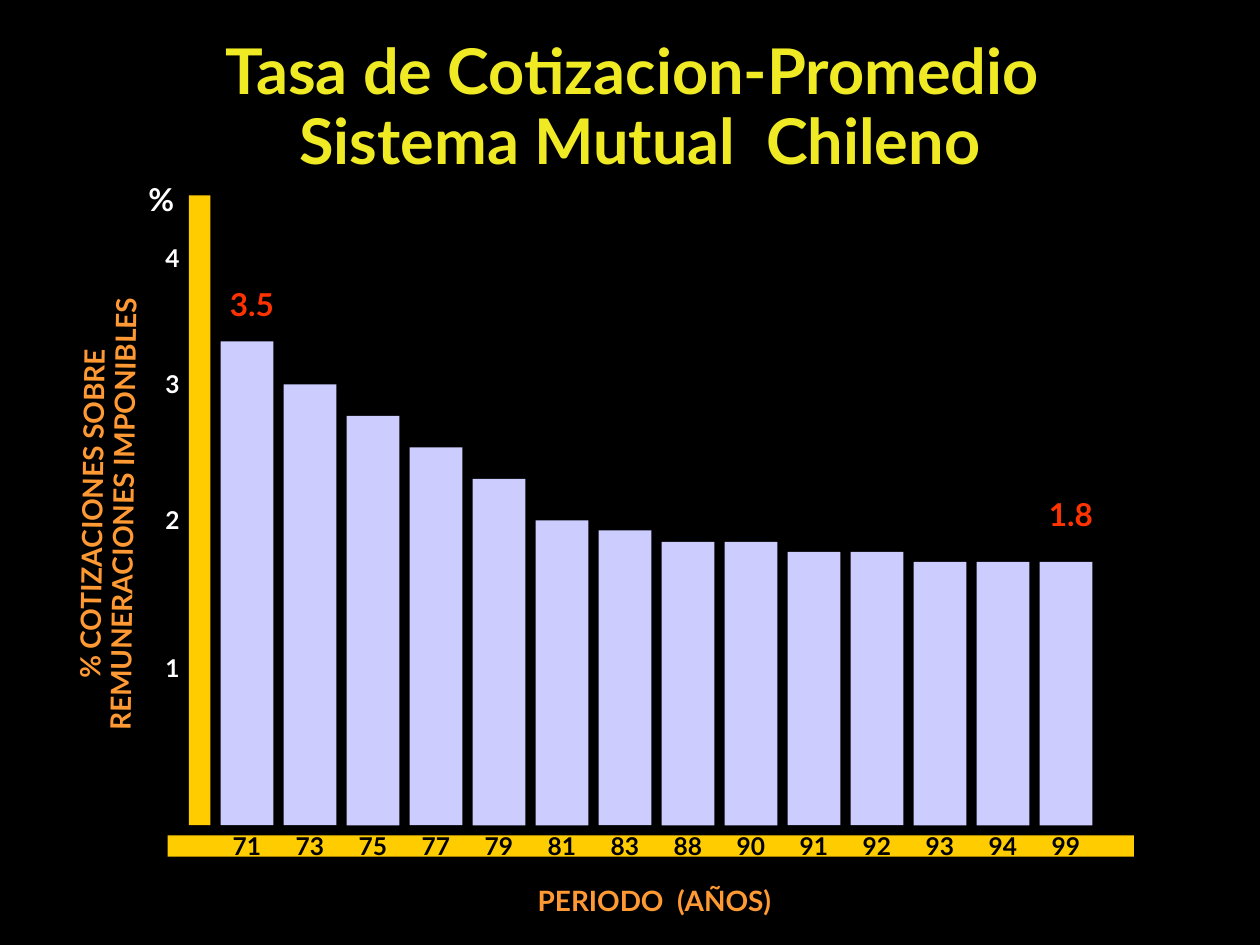
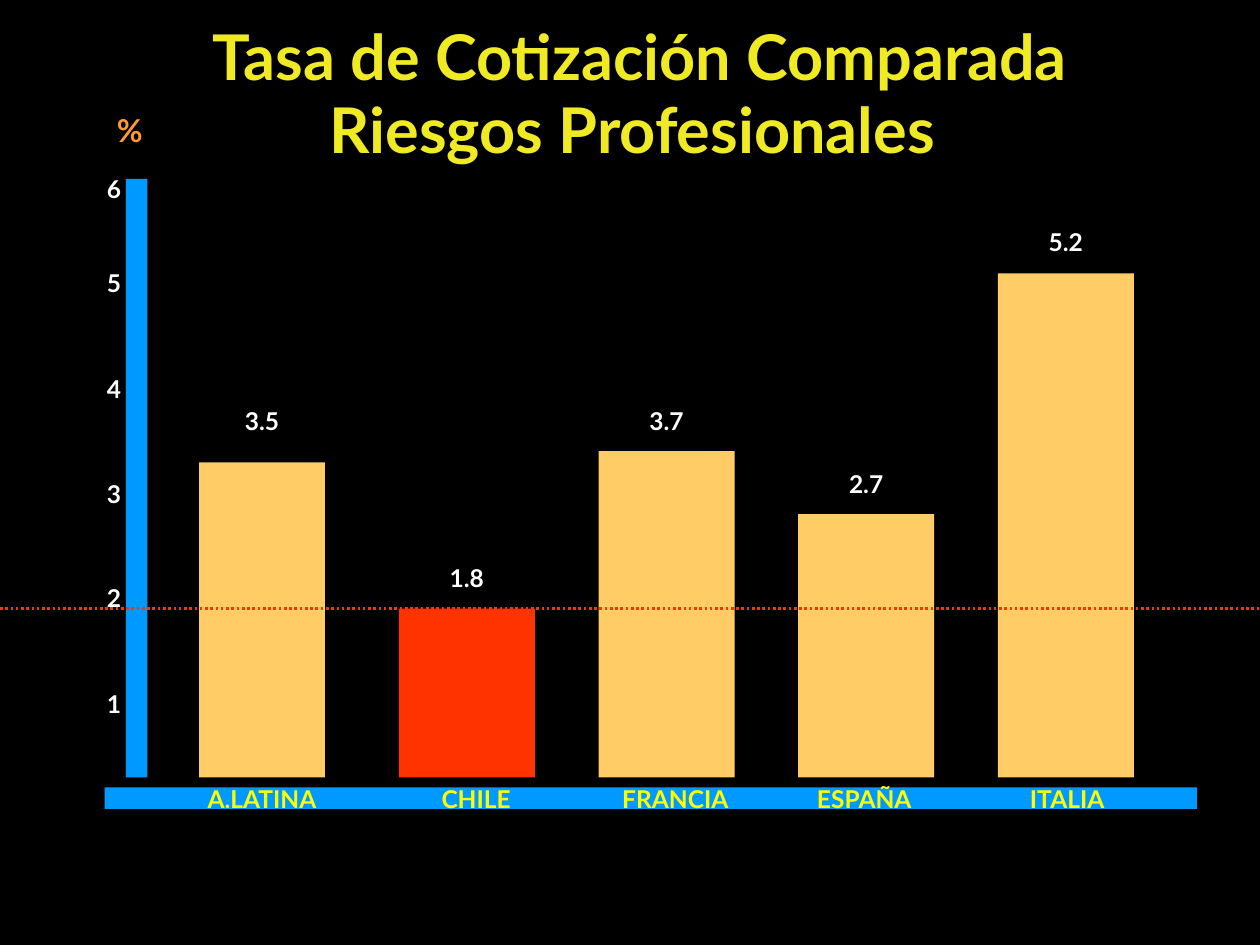
from lxml.etree import SubElement
from pptx import Presentation
from pptx.dml.color import RGBColor
from pptx.enum.dml import MSO_LINE as Dash
from pptx.enum.shapes import MSO_CONNECTOR as Link, MSO_SHAPE as Form
from pptx.enum.text import MSO_AUTO_SIZE as Fit, PP_ALIGN as Align
from pptx.oxml.ns import qn
from pptx.util import Inches, Pt

HUES = {
    "back": "000000",
    "title": "EFEA24",
    "gold": "FFCC00",
    "lilac": "CCCCFF",
    "red": "FF3300",
    "orange": "FF9933",
    "sand": "FFCC66",
    "blue": "0099FF",
    "yellow": "FFFF00",
    "white": "FFFFFF",
    "black": "000000",
}


def hue(name):
    return RGBColor.from_string(HUES[name])


class Deck:
    font = "Lato"

    def __init__(self):
        self.file = Presentation()
        self.file.slide_width = Inches(10)
        self.file.slide_height = Inches(7.5)
        self.slide = None

    def page(self):
        self.slide = self.file.slides.add_slide(self.file.slide_layouts[6])
        fill = self.slide.background.fill
        fill.solid()
        fill.fore_color.rgb = hue("back")

    def text(self, lines, left, top, width, height, color, size=14,
             align=Align.CENTER, pitch=None, gap=0, turn=0):
        box = self.slide.shapes.add_textbox(
            Inches(left), Inches(top), Inches(width), Inches(height))
        box.rotation = turn
        frame = box.text_frame
        frame.word_wrap = True
        frame.auto_size = Fit.SHAPE_TO_FIT_TEXT
        for i, line in enumerate(lines):
            para = frame.paragraphs[0] if i == 0 else frame.add_paragraph()
            para.alignment = align
            if pitch:
                para.line_spacing = pitch
            if i:
                para.space_before = Pt(gap)
            run = para.add_run()
            run.text = line
            run.font.name = self.font
            run.font.size = Pt(size)
            run.font.bold = True
            run.font.color.rgb = hue(color)

    def label(self, text, mid, top, color, width=0.83, size=14):
        height = 0.4 if size > 14 else 0.34
        self.text([text], mid - width / 2, top, width, height, color, size)

    def title(self, lines, top, height, pitch, gap):
        self.text(lines, 0.33, top, 9.5, height, "title", 36,
                  pitch=pitch, gap=gap)

    def unit(self, left, top, color):
        self.text(["%"], left, top, 0.58, 0.4, color, 18, Align.LEFT)

    def scale(self, tops, left, align):
        for mark, top in enumerate(tops, 1):
            self.text([str(mark)], left, top, 0.58, 0.34, "white", align=align)

    def bar(self, left, top, width, height, color):
        rect = self.slide.shapes.add_shape(
            Form.RECTANGLE, Inches(left), Inches(top),
            Inches(width), Inches(height))
        rect.shadow.inherit = False
        rect.fill.solid()
        rect.fill.fore_color.rgb = hue(color)
        rect.line.fill.background()

    def level(self, top, color):
        line = self.slide.shapes.add_connector(
            Link.STRAIGHT, 0, Inches(top), Inches(10), Inches(top))
        line.line.color.rgb = hue(color)
        line.line.width = Pt(1.5)
        line.line.dash_style = Dash.ROUND_DOT
        SubElement(line._element.spPr, qn("a:effectLst"))

    def save(self):
        self.file.save("out.pptx")


def trend(deck):
    years = [71, 73, 75, 77, 79, 81, 83, 88, 90, 91, 92, 93, 94, 99]
    tops = [2.71, 3.05, 3.3, 3.55, 3.8, 4.13, 4.21,
            4.3, 4.3, 4.38, 4.38, 4.46, 4.46, 4.46]
    base, wide = 6.55, 0.42
    deck.page()
    deck.title(["Tasa de Cotizacion-Promedio ", "Sistema Mutual  Chileno"],
               0.51, 0.9, 0.4, 22.5)
    deck.bar(1.33, 6.63, 7.67, 0.17, "gold")
    deck.bar(1.5, 1.55, 0.17, 5, "gold")
    deck.unit(1.08, 1.38, "white")
    deck.scale([5.13, 3.96, 2.88, 1.88], 1.08, Align.CENTER)
    for i, (year, top) in enumerate(zip(years, tops)):
        left = 1.75 + 0.5 * i
        deck.bar(left, top, wide, base - top, "lilac")
        deck.label(str(year), left + wide / 2, base, "black", 0.75)
    deck.label("3.5", 2, 2.21, "red", size=18)
    deck.label("1.8", 8.5, 3.88, "red", size=18)
    deck.text(["% COTIZACIONES SOBRE", "REMUNERACIONES IMPONIBLES"],
              -1.88, 3.85, 5.58, 0.46, "orange", 16,
              pitch=0.4, gap=10, turn=270.8)
    deck.text(["PERIODO  (AÑOS)"], 2.36, 6.96, 5.67, 0.37, "orange", 16)


def compare(deck):
    base = 6.17
    rates = [
        ("A.LATINA", "3.5", 3.67, 3.17, 1, 2.08, "sand"),
        ("CHILE", "1.8", 4.83, 4.42, 1.08, 3.78, "red"),
        ("FRANCIA", "3.7", 3.58, 3.17, 1.08, 5.36, "sand"),
        ("ESPAÑA", "2.7", 4.08, 3.67, 1.08, 6.86, "sand"),
        ("ITALIA", "5.2", 2.17, 1.75, 1.08, 8.47, "sand"),
    ]
    deck.page()
    deck.title(["Tasa de Cotización Comparada", "Riesgos Profesionales "],
               0.35, 0.98, 0.5, 20)
    deck.bar(0.83, 6.25, 8.67, 0.17, "blue")
    deck.bar(1, 1.42, 0.17, 4.75, "blue")
    deck.unit(0.83, 0.83, "orange")
    deck.scale([5.42, 4.58, 3.75, 2.92, 2.08, 1.33], 0.75, Align.LEFT)
    for i, (place, rate, top, over, wide, mid, color) in enumerate(rates):
        left = 1.58 + 1.585 * i
        deck.bar(left, top, wide, base - top, color)
        deck.label(rate, left + wide / 2, over, "white")
        deck.label(place, mid, base, "yellow", 1.5)
    deck.level(4.83, "red")


def main():
    deck = Deck()
    trend(deck)
    compare(deck)
    deck.save()


if __name__ == "__main__":
    main()
